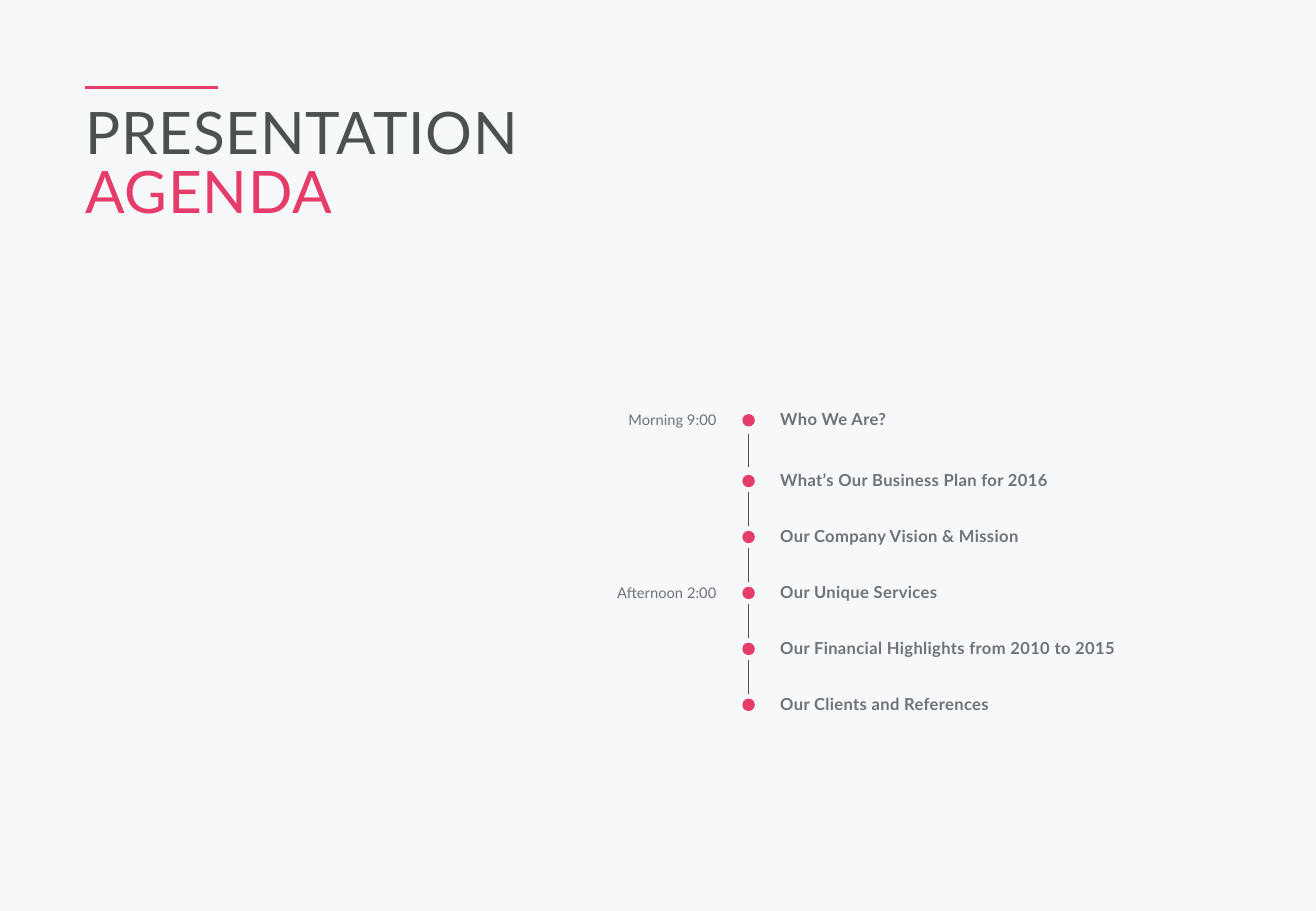
from pptx import Presentation
from pptx.dml.color import RGBColor
from pptx.enum.shapes import MSO_CONNECTOR, MSO_SHAPE
from pptx.enum.text import MSO_ANCHOR, MSO_AUTO_SIZE, PP_ALIGN
from pptx.oxml.ns import qn
from pptx.util import Cm, Pt

STRAIGHT, OVAL = MSO_CONNECTOR.STRAIGHT, MSO_SHAPE.OVAL
TOP, NO_FIT = MSO_ANCHOR.TOP, MSO_AUTO_SIZE.NONE
LEFT, RIGHT = PP_ALIGN.LEFT, PP_ALIGN.RIGHT

BACKGROUND = RGBColor(0xF6, 0xF8, 0xFA)
PINK = RGBColor(0xE6, 0x3C, 0x69)
DARK = RGBColor(0x4B, 0x50, 0x50)
GREY = RGBColor(0x6E, 0x73, 0x78)

FONT = "Lato"
ITEM_SIZE = 9.8
ITEM_HEIGHT = Pt(ITEM_SIZE * 1.2)
FIRST_PITCH, PITCH = Cm(1.27), Cm(1.17)
AGENDA = [
    ("Morning 9:00", "Who We Are?"),
    ("", "What’s Our Business Plan for 2016"),
    ("", "Our Company Vision & Mission"),
    ("Afternoon 2:00", "Our Unique Services"),
    ("", "Our Financial Highlights from 2010 to 2015"),
    ("", "Our Clients and References"),
]


def place_frame(sp, left, top, width, height):
    """Move a text shape to its box and return its frame without margins."""
    sp.left, sp.top, sp.width, sp.height = left, top, width, height
    tf = sp.text_frame
    tf.margin_left = tf.margin_top = tf.margin_right = tf.margin_bottom = 0
    tf.word_wrap = True
    tf.auto_size = NO_FIT
    tf.vertical_anchor = TOP
    return tf


def write_text(tf, text, size, color, bold=False, align=LEFT, spacing=0,
               line=None, before=0):
    """Write one unbulleted paragraph into the frame."""
    p = tf.paragraphs[0] if not tf.text else tf.add_paragraph()
    pPr = p._p.get_or_add_pPr()
    pPr.set("marL", "0")
    pPr.set("indent", "0")
    pPr.append(pPr.makeelement(qn("a:buNone"), {}))
    p.alignment = align
    p.space_before = before
    if line:
        p.line_spacing = line
    r = p.add_run()
    r.text = text
    r.font.name, r.font.size, r.font.bold = FONT, Pt(size), bold
    r.font.color.rgb = color
    r._r.get_or_add_rPr().set("spc", str(round(spacing * 100)))


def add_line(s, x1, y1, x2, y2, color, weight):
    """Draw a straight line without a shadow."""
    cx = s.shapes.add_connector(STRAIGHT, x1, y1, x2, y2)
    cx.line.color.rgb = color
    cx.line.width = Pt(weight)
    spPr = cx._element.spPr
    spPr.append(spPr.makeelement(qn("a:effectLst"), {}))


def add_dot(s, x, y, size):
    """Draw a pink dot centred on a point."""
    sp = s.shapes.add_shape(OVAL, x - size // 2, y - size // 2, size, size)
    sp.fill.solid()
    sp.fill.fore_color.rgb = PINK
    sp.line.fill.background()
    sp.shadow.inherit = False


def build_heading(s, left, top, width):
    """Place the accent line and the two-line title under it."""
    add_line(s, left, top, left + Cm(2.77), top, PINK, 2.25)
    tf = place_frame(s.shapes.title, left, top + Cm(0.43), width, Cm(2.49))
    for text, color in (("PRESENTATION", DARK), ("AGENDA", PINK)):
        write_text(tf, text, 34.7, color, spacing=0.5, line=Pt(34.7))


def build_agenda(s, left, top, width):
    """Place the times, the dotted timeline and the list of topics."""
    axis, topic_left = left + Cm(3.51), left + Cm(4.17)
    tops = [top] + [top + FIRST_PITCH + i * PITCH
                    for i in range(len(AGENDA) - 1)]
    centers = [y + Cm(0.23) for y in tops]
    topics = place_frame(s.placeholders[1], topic_left, top,
                         left + width - topic_left,
                         tops[-1] - top + ITEM_HEIGHT)
    previous = top
    for (time, topic), y, center in zip(AGENDA, tops, centers):
        before = y - previous - ITEM_HEIGHT if y > top else 0
        write_text(topics, topic, ITEM_SIZE, GREY, bold=True, spacing=0.2,
                   before=before)
        add_dot(s, axis, center, Cm(0.26))
        if time:
            box = s.shapes.add_textbox(0, 0, 0, 0)
            tf = place_frame(box, left, y + Cm(0.03), Cm(2.84), Cm(0.38))
            write_text(tf, time, 8.7, GREY, align=RIGHT)
        previous = y
    for upper, lower in zip(centers, centers[1:]):
        middle = (upper + lower) // 2
        add_line(s, axis, middle - Cm(0.35), axis, middle + Cm(0.35),
                 DARK, 0.75)


def main():
    """Build and save the agenda slide."""
    prs = Presentation()
    prs.slide_width, prs.slide_height = Cm(27.51), Cm(19.05)
    s = prs.slides.add_slide(prs.slide_layouts[1])
    s.background.fill.solid()
    s.background.fill.fore_color.rgb = BACKGROUND
    build_heading(s, Cm(1.78), Cm(1.83), Cm(23.95))
    build_agenda(s, Cm(12.14), Cm(8.56), Cm(13.59))
    prs.save("out.pptx")


if __name__ == "__main__":
    main()
